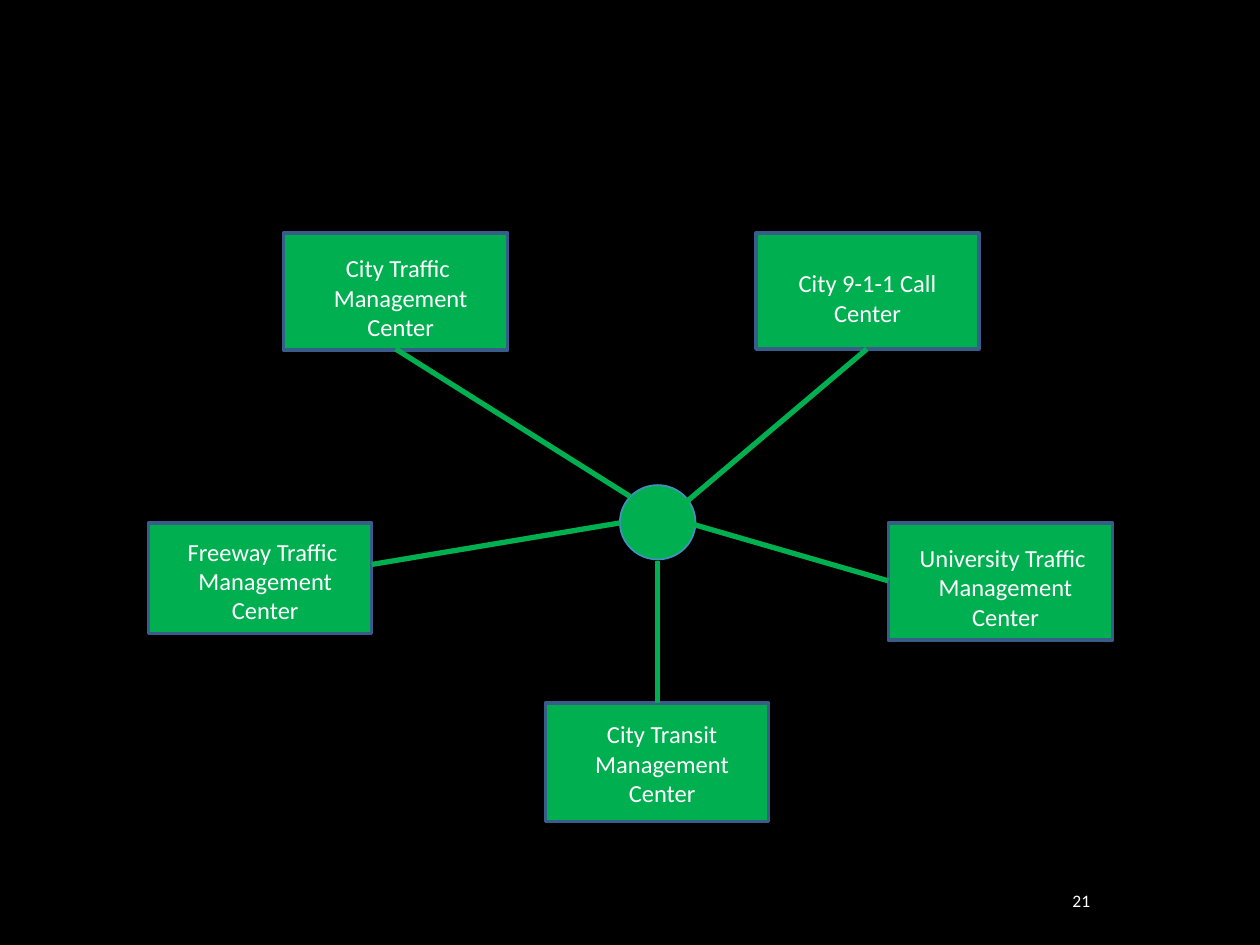
"""Build a slide of five traffic centers linked to one hub."""
from pptx import Presentation
from pptx.dml.color import RGBColor
from pptx.enum.shapes import MSO_CONNECTOR as Conn, MSO_SHAPE as Shape
from pptx.enum.text import MSO_ANCHOR as Anchor, PP_ALIGN as Align
from pptx.oxml.ns import qn
from pptx.util import Pt
from lxml.etree import SubElement

PX = 9144
GREEN, EDGE, RIM, WHITE = "00B050", "385D8A", "4092BD", "FFFFFF"


def paint(fmt, color):
    fmt.solid()
    fmt.fore_color.rgb = RGBColor.from_string(color)


def write(box, lines, size, align, anchor):
    area = slide.shapes.add_textbox(*[n * PX for n in box])
    frame = area.text_frame
    for key, value in {"word_wrap": True, "vertical_anchor": anchor}.items():
        setattr(frame, key, value)
    frame.text = "\n".join(lines)
    for para in frame.paragraphs:
        para.alignment = align
        for key, value in {"name": "Calibri", "size": Pt(size)}.items():
            setattr(para.font, key, value)
        paint(para.font.fill, WHITE)


deck = Presentation()
deck.slide_width, deck.slide_height = 1000 * PX, 750 * PX
slide = deck.slides.add_slide(deck.slide_layouts[6])
paint(slide.background.fill, "000000")

unit = "Management Center"
centers = [
    ((705, 415, 178, 93), (712, 426, 172, 59), ["University Traffic ", unit]),
    ((600, 185, 177, 92), (603, 208, 171, 53), ["City 9-1-1 Call Center"]),
    ((433, 558, 177, 94), (440, 566, 171, 53), ["City Transit", unit]),
    ((225, 185, 178, 93), (232, 196, 172, 59), ["City Traffic ", unit]),
    ((118, 415, 177, 88), (125, 421, 171, 53), ["Freeway Traffic ", unit]),
]
hub = (492, 385, 60, 59)
nodes = [(Shape.RECTANGLE, box, EDGE, 2, area, lines) for box, area, lines in centers]
nodes.append((Shape.OVAL, hub, RIM, 1, None, None))
for kind, box, edge, width, area, lines in nodes:
    node = slide.shapes.add_shape(kind, *[n * PX for n in box])
    node.shadow.inherit = False
    paint(node.fill, GREEN)
    paint(node.line.fill, edge)
    node.line.width = Pt(width)
    if lines:
        write(area, lines, 14, Align.CENTER, Anchor.TOP)

links = [
    (314, 277, 500, 394),
    (688, 277, 525, 415),
    (295, 448, 492, 415),
    (705, 461, 522, 408),
    (522, 558, 522, 445),
]
for ends in links:
    link = slide.shapes.add_connector(Conn.STRAIGHT, *[n * PX for n in ends])
    paint(link.line.fill, GREEN)
    link.line.width = Pt(3)
    SubElement(link._element.spPr, qn("a:effectLst"))

write((806, 700, 69, 30), ["21"], 10, Align.RIGHT, Anchor.MIDDLE)
deck.save("out.pptx")
